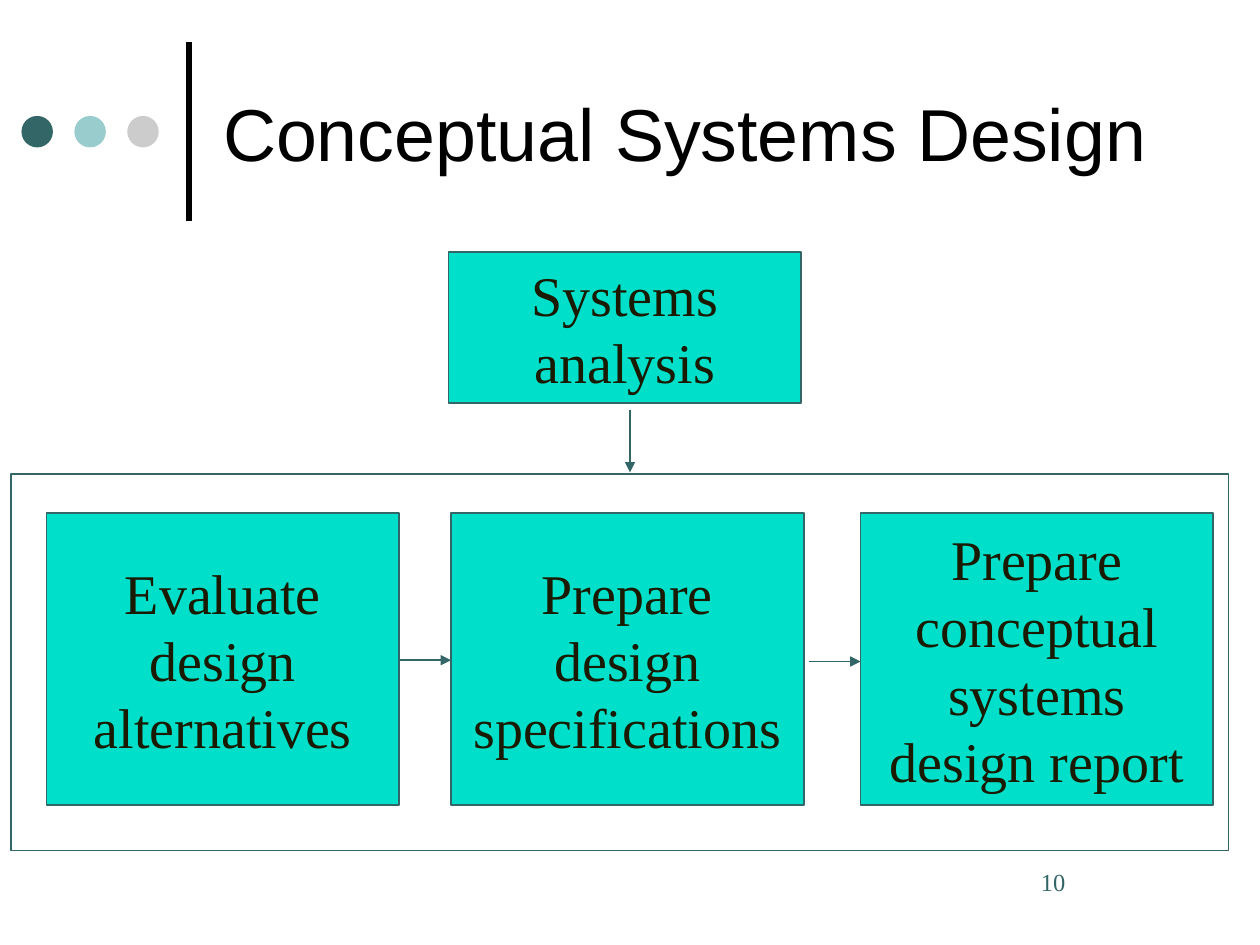
from pptx import Presentation
from pptx.dml.color import RGBColor
from pptx.enum.shapes import MSO_CONNECTOR, MSO_SHAPE
from pptx.enum.text import MSO_ANCHOR, MSO_AUTO_SIZE, PP_ALIGN
from pptx.oxml.ns import qn
from pptx.util import Inches, Pt
from lxml import etree

RECT, OVAL = MSO_SHAPE.RECTANGLE, MSO_SHAPE.OVAL
STRAIGHT = MSO_CONNECTOR.STRAIGHT
MIDDLE = MSO_ANCHOR.MIDDLE
LEFT, CENTER = PP_ALIGN.LEFT, PP_ALIGN.CENTER
FIXED = MSO_AUTO_SIZE.NONE

BLACK = RGBColor(0x00, 0x00, 0x00)
TEAL = RGBColor(0x33, 0x66, 0x66)
PALE = RGBColor(0x99, 0xCC, 0xCC)
GRAY = RGBColor(0xCC, 0xCC, 0xCC)
AQUA = RGBColor(0x00, 0xDF, 0xCA)
INK = RGBColor(0x1A, 0x1A, 0x00)

deck = Presentation()
deck.slide_width, deck.slide_height = Inches(10), Inches(7.5)
slide = deck.slides.add_slide(deck.slide_layouts[5])
shapes = slide.shapes


def write(frame, text, size, color, font="Times New Roman", align=LEFT,
          lead=None):
    frame.text = text
    frame.auto_size = FIXED
    for para in frame.paragraphs:
        para.alignment = align
        para.line_spacing = lead
        para.font.size = Pt(size)
        para.font.name = font
        para.font.color.rgb = color


def draw(start, end, color, width, arrow=False):
    line = shapes.add_connector(STRAIGHT, *map(Inches, start + end))
    line.line.color.rgb = color
    line.line.width = Pt(width)
    if arrow:
        tail = etree.SubElement(line.line._get_or_add_ln(), qn("a:tailEnd"))
        tail.set("type", "triangle")
    etree.SubElement(line._element.spPr, qn("a:effectLst"))


# Title with its rule and three dots
draw((1.5, 1.75), (1.5, 0.33), BLACK, 3)
for i, color in enumerate((TEAL, PALE, GRAY)):
    dot = shapes.add_shape(OVAL, Inches(0.17 + 0.42 * i), Inches(0.92),
                           Inches(0.25), Inches(0.25))
    dot.shadow.inherit = False
    dot.fill.solid()
    dot.fill.fore_color.rgb = color
    dot.line.fill.background()

title = shapes.title
title.left, title.top = Inches(1.67), Inches(0.21)
title.width, title.height = Inches(7.67), Inches(1.67)
title.text_frame.vertical_anchor = MIDDLE
write(title.text_frame, "Conceptual Systems Design", 42, BLACK, font="Arial")

# Steps, and the frame around the design phase
steps = [
    (3.56, 2, 2.8, 1.2, "Systems\nanalysis"),
    (0.37, 4.07, 2.8, 2.32, "Evaluate\ndesign\nalternatives"),
    (3.58, 4.07, 2.8, 2.32, "Prepare\ndesign\nspecifications"),
    (6.83, 4.07, 2.8, 2.32, "Prepare\nconceptual\nsystems\ndesign report"),
    (0.09, 3.76, 9.66, 2.99, None),
]
for *place, text in steps:
    box = shapes.add_shape(RECT, *map(Inches, place))
    box.shadow.inherit = False
    box.line.color.rgb = TEAL
    box.line.width = Pt(1)
    if text:
        box.fill.solid()
        box.fill.fore_color.rgb = AQUA
        box.text_frame.word_wrap = False
        box.text_frame.vertical_anchor = MIDDLE
        write(box.text_frame, text, 32, INK, align=CENTER, lead=Pt(38.4))
    else:
        box.fill.background()

# Arrows between the steps
for start, end in (((5, 3.25), (5, 3.75)),
                   ((3.17, 5.24), (3.58, 5.24)),
                   ((6.42, 5.25), (6.83, 5.25))):
    draw(start, end, TEAL, 1, arrow=True)

# Page number
page = shapes.add_textbox(Inches(7.92), Inches(6.83), Inches(1.42), Inches(0.5))
page.text_frame.word_wrap = True
page.text_frame.margin_left = Inches(0.34)
write(page.text_frame, "10", 14, TEAL)

deck.save("out.pptx")
